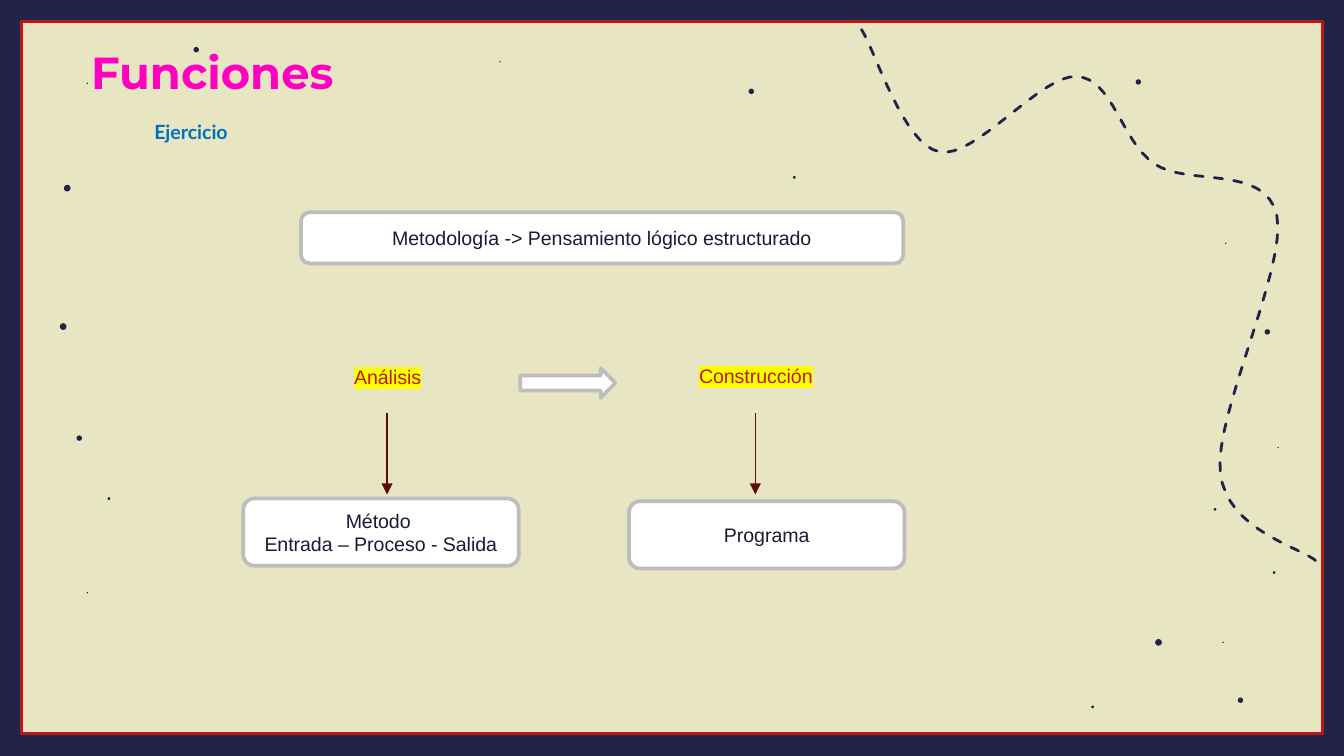
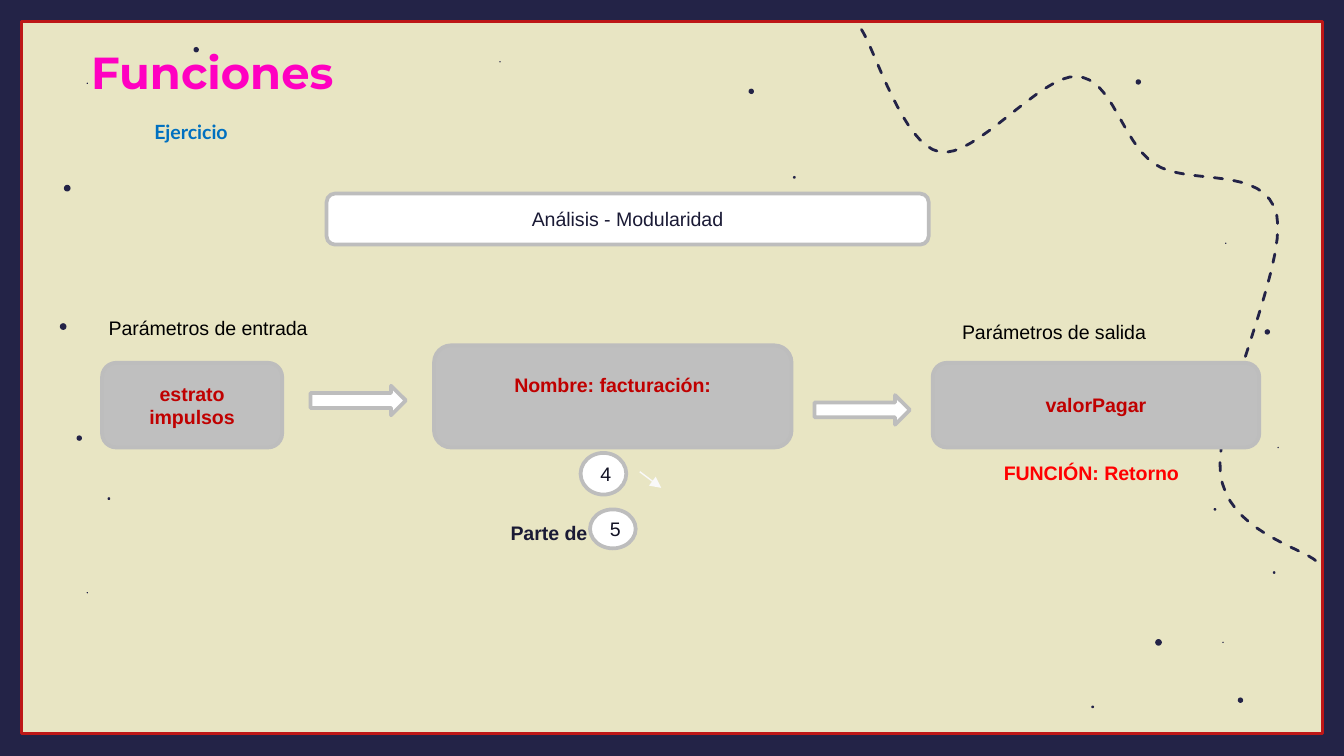
import dataclasses

import lxml.etree
import pptx
import pptx.dml.color
import pptx.enum.dml
import pptx.enum.shapes
import pptx.enum.text
import pptx.oxml.ns
import pptx.util

Inches = pptx.util.Inches
Pt = pptx.util.Pt
RGB = pptx.dml.color.RGBColor.from_string
SHAPE = pptx.enum.shapes.MSO_SHAPE
ALIGN = pptx.enum.text.PP_ALIGN
qn = pptx.oxml.ns.qn


@dataclasses.dataclass(frozen=True)
class Theme:
    sand: str = "E8E5C3"
    navy: str = "232347"
    red: str = "BD1717"
    white: str = "FFFFFF"
    border: str = "BDBDBD"
    gray: str = "BFBFBF"
    maroon: str = "5E0C0C"
    pale: str = "F9F9F9"
    yellow: str = "FFFF00"
    magenta: str = "FF00C1"
    blue: str = "0070C0"
    ink: str = "1A1A35"
    crimson: str = "C00000"
    black: str = "000000"
    bright_red: str = "FF0000"
    midnight: str = "121224"
    title_size: float = 24
    body_size: float = 10.5


theme = Theme()

# Text styles: colour plus font attributes
body = {"size": Pt(theme.body_size), "name": "Arial", "bold": False}
strong = {**body, "bold": True}
STYLES = {
    "title": (theme.magenta, {"size": Pt(theme.title_size), "name": "Montserrat", "bold": True}),
    "subtitle": (theme.blue, {**strong, "name": "Lato"}),
    "box": (theme.ink, body),
    "phase": (theme.red, body),
    "module": (theme.crimson, strong),
    "label": (theme.black, body),
    "return": (theme.bright_red, strong),
    "part": (theme.ink, strong),
    "number": (theme.midnight, body),
}


def add_shape(s, kind, box, fill=None, line=None, width=2):
    sp = s.shapes.add_shape(kind, *map(Inches, box))
    sp.shadow.inherit = False
    if fill:
        sp.fill.solid()
        sp.fill.fore_color.rgb = RGB(fill)
    else:
        sp.fill.background()
    if line:
        sp.line.color.rgb = RGB(line)
        sp.line.width = Pt(width)
    else:
        sp.line.fill.background()
    return sp


def write(sp, text, style, align=ALIGN.CENTER):
    color, font = STYLES[style]
    tf = sp.text_frame
    tf.word_wrap = True
    for i, line in enumerate(text.split("\n")):
        p = tf.add_paragraph() if i else tf.paragraphs[0]
        p.alignment = align
        r = p.add_run()
        r.text = line
        for name, value in font.items():
            setattr(r.font, name, value)
        r.font.color.rgb = RGB(color)


prs = pptx.Presentation()
prs.slide_width, prs.slide_height = Inches(10), Inches(10) * 9 // 16
layout = prs.slide_layouts[6]
for ph in list(layout.placeholders):
    ph.element.getparent().remove(ph.element)
layout.background.fill.solid()
layout.background.fill.fore_color.rgb = RGB(theme.sand)
slides = [prs.slides.add_slide(layout) for _ in range(2)]

# Frame, drawn once and then moved to the layout
s = slides[0]
for band in [(0, 0, 10, 0.16), (0, 5.46, 10, 0.17), (0, 0, 0.16, 5.62), (9.84, 0, 0.16, 5.62)]:
    add_shape(s, SHAPE.RECTANGLE, band, theme.navy)
add_shape(s, SHAPE.RECTANGLE, (0.16, 0.16, 9.68, 5.3), None, theme.red, 1.5)

# Dashed trail, sampled from cubic curves
start = (6.41, 0.22)
curves = [
    ((6.51, 0.37), (6.72, 1.08), (6.99, 1.13)),
    ((7.25, 1.19), (7.75, 0.55), (8.01, 0.57)),
    ((8.28, 0.58), (8.34, 1.05), (8.59, 1.22)),
    ((8.84, 1.39), (9.41, 1.22), (9.5, 1.6)),
    ((9.58, 1.99), (9.03, 3.09), (9.08, 3.52)),
    ((9.13, 3.95), (9.68, 4.07), (9.8, 4.18)),
]
steps = 16
points, a = [], start
for b, c, d in curves:
    for i in range(1, steps + 1):
        t = i / steps
        u = 1 - t
        points.append([Inches(u**3 * a[k] + 3 * u * u * t * b[k] + 3 * u * t * t * c[k] + t**3 * d[k])
                       for k in (0, 1)])
    a = d
builder = s.shapes.build_freeform(*map(Inches, start))
builder.add_line_segments(points, close=False)
trail = builder.convert_to_shape()
trail.shadow.inherit = False
trail.fill.background()
trail.line.color.rgb = RGB(theme.navy)
trail.line.width = Pt(1.5)
trail.line.dash_style = pptx.enum.dml.MSO_LINE.DASH
trail.element.spPr.find(qn("a:ln")).set("cap", "rnd")

# Dots: centres by diameter
dots = {
    0.05: [(8.62, 4.78), (0.5, 1.4), (0.47, 2.43)],
    0.04: [(5.59, 0.68), (9.23, 5.21), (9.43, 2.47), (0.59, 3.26), (8.47, 0.61), (1.46, 0.37)],
    0.02: [(0.81, 3.71), (9.04, 3.79), (5.91, 1.32), (9.48, 4.26), (8.13, 5.26)],
    0.01: [(9.1, 4.78), (9.12, 1.81), (3.72, 0.46), (0.65, 4.41), (9.51, 3.33), (0.65, 0.62)],
}
for size, centers in dots.items():
    for x, y in centers:
        add_shape(s, SHAPE.OVAL, (x - size / 2, y - size / 2, size, size), theme.navy)
for sp in list(s.shapes):
    layout.shapes.element.append(sp.element)

# Text boxes: text, box, style, alignment
headings = [
    ("Funciones", (0.58, 0.28, 5.61, 0.91), "title", ALIGN.LEFT),
    ("Ejercicio", (1.05, 0.84, 4.27, 0.28), "subtitle", ALIGN.JUSTIFY),
]
labels = [
    ("Parámetros de entrada", (0.71, 2.3, 1.96, 0.28), "label", ALIGN.LEFT),
    ("Parámetros de salida", (7.06, 2.33, 1.96, 0.28), "label", ALIGN.LEFT),
    ("FUNCIÓN: Retorno", (7.37, 3.38, 2.85, 0.28), "return", ALIGN.LEFT),
    ("Parte de", (3.7, 3.83, 2.85, 0.28), "part", ALIGN.LEFT),
]
for s, texts in zip(slides, [headings, headings + labels]):
    for text, box, style, align in texts:
        sp = s.shapes.add_textbox(*map(Inches, box))
        write(sp, text, style, align)
        sp.text_frame.auto_size = pptx.enum.text.MSO_AUTO_SIZE.SHAPE_TO_FIT_TEXT

# Highlighted phases
for text, box in [("Análisis", (1.9, 2.32, 1.97, 0.97)), ("Construcción", (4.64, 2.31, 1.97, 0.97))]:
    sp = add_shape(slides[0], SHAPE.OVAL, box, theme.sand, theme.sand)
    write(sp, text, "phase")
    mark = lxml.etree.Element(qn("a:highlight"))
    lxml.etree.SubElement(mark, qn("a:srgbClr"), val=theme.yellow)
    sp.element.txBody.find(".//" + qn("a:solidFill")).addnext(mark)

# Boxes of each slide: text, box, fill, style
method_boxes = [
    ("Metodología -> Pensamiento lógico estructurado", (2.24, 1.58, 4.48, 0.38), theme.white, "box"),
    ("Método \nEntrada – Proceso - Salida", (1.81, 3.71, 2.05, 0.5), theme.white, "box"),
    ("Programa", (4.68, 3.73, 2.05, 0.5), theme.white, "box"),
]
module_boxes = [
    ("Análisis - Modularidad", (2.43, 1.44, 4.48, 0.38), theme.white, "box"),
    ("estrato\nimpulsos", (0.76, 2.7, 1.34, 0.63), theme.gray, "module"),
    ("Nombre: facturación:", (3.23, 2.57, 2.66, 0.76), theme.gray, "module"),
    ("valorPagar", (6.94, 2.7, 2.43, 0.63), theme.gray, "module"),
]
for s, boxes in zip(slides, [method_boxes, module_boxes]):
    for text, box, fill, style in boxes:
        sp = add_shape(s, SHAPE.ROUNDED_RECTANGLE, box, fill, theme.border)
        write(sp, text, style)
        if text.startswith("Nombre"):
            sp.text_frame.margin_bottom = Inches(0.22)  # lifts the name above the middle

# Numbered circles
for text, box in [("4", (4.32, 3.37, 0.34, 0.31)), ("5", (4.39, 3.79, 0.34, 0.29))]:
    write(add_shape(slides[1], SHAPE.OVAL, box, theme.white, theme.border), text, "number")

# Block arrows
for s, x, y in [(slides[0], 3.87, 2.74), (slides[1], 2.31, 2.87), (slides[1], 6.06, 2.94)]:
    add_shape(s, SHAPE.RIGHT_ARROW, (x, y, 0.71, 0.22), theme.white, theme.border)

# Thin arrows
arrows = [
    (slides[0], (2.88, 3.07, 2.88, 3.68), theme.maroon),
    (slides[0], (5.62, 3.07, 5.62, 3.68), theme.maroon),
    (slides[1], (4.76, 3.51, 4.92, 3.63), theme.pale),
]
for s, ends, color in arrows:
    cx = s.shapes.add_connector(pptx.enum.shapes.MSO_CONNECTOR.STRAIGHT, *map(Inches, ends))
    cx.line.color.rgb = RGB(color)
    cx.line.width = Pt(0.75)
    ln = cx.element.spPr.find(qn("a:ln"))
    lxml.etree.SubElement(ln, qn("a:tailEnd"), type="triangle")
    lxml.etree.SubElement(cx.element.spPr, qn("a:effectLst"))

prs.save("out.pptx")
